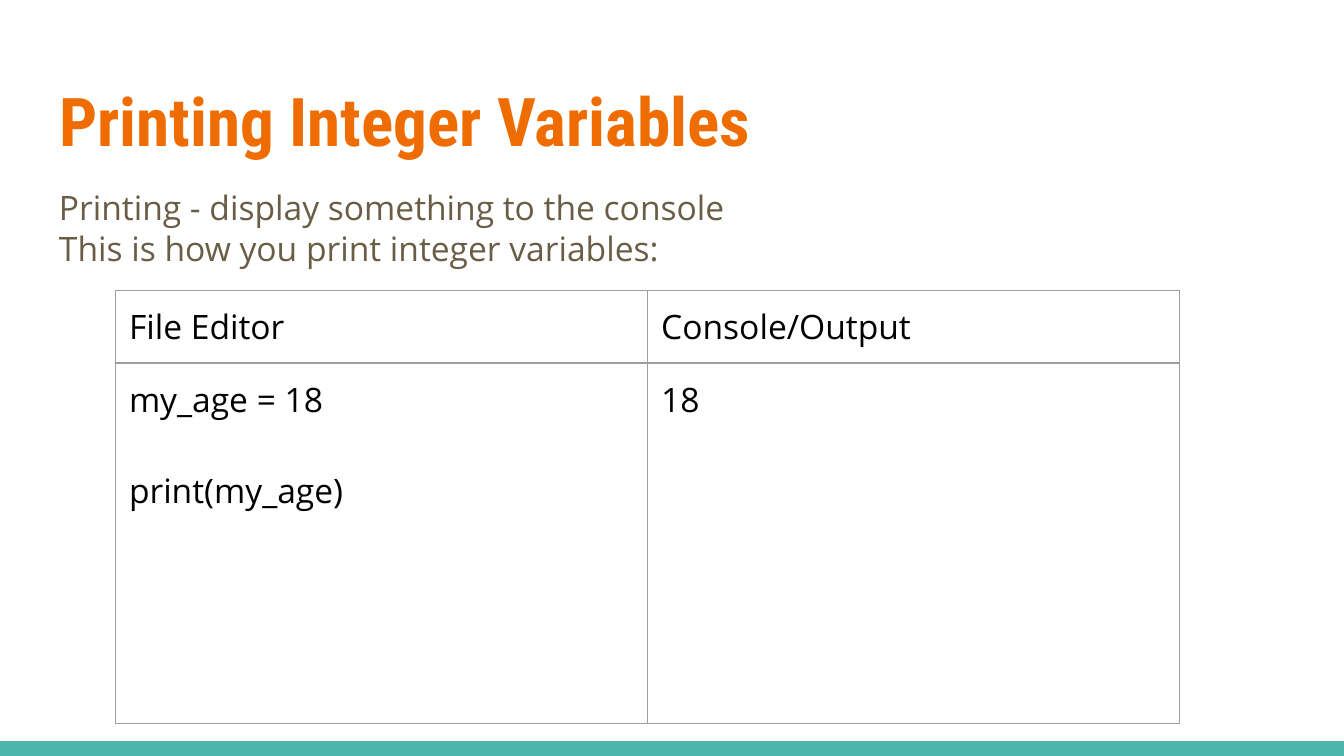
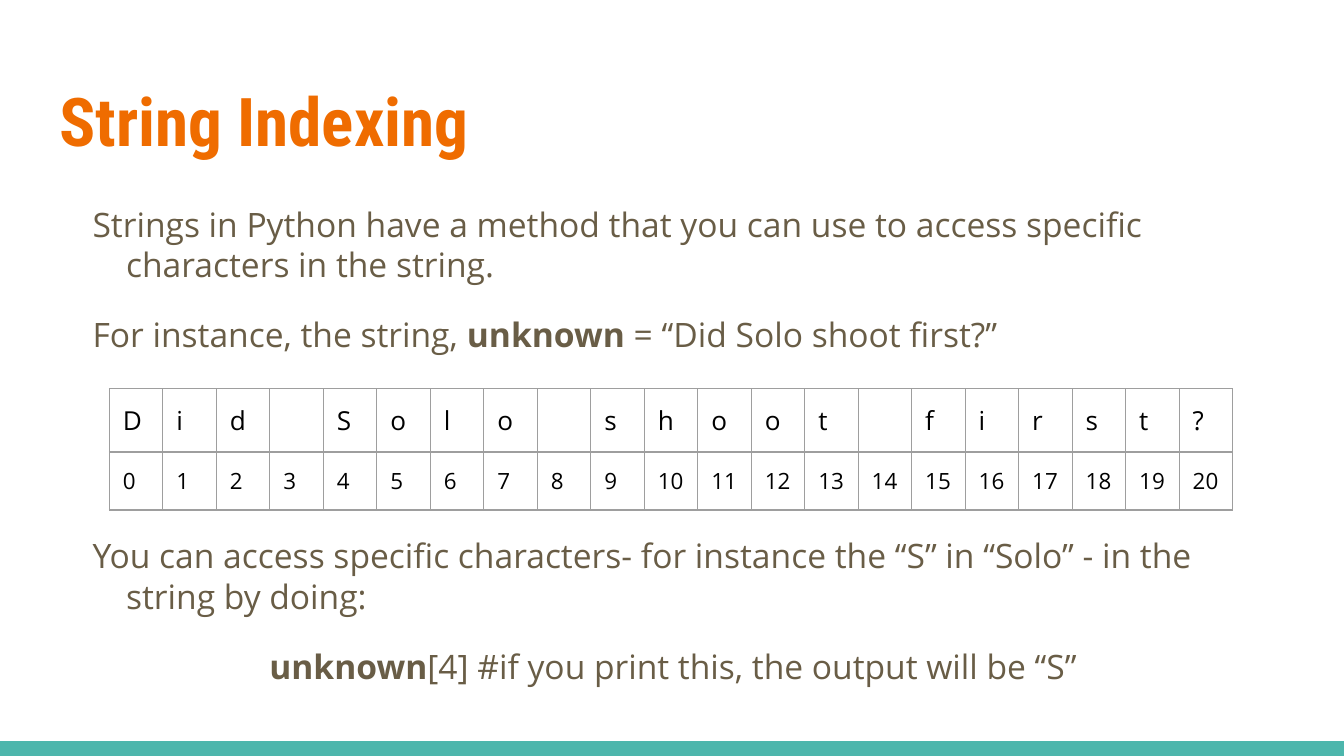
from lxml import etree
from pptx import Presentation
from pptx import util as u
from pptx.dml.color import RGBColor
from pptx.enum import shapes, text
from pptx.oxml import ns

Pt = u.Pt

COLORS = {
    "background": "FFFFFF",
    "band": "4DB6AC",
    "title": "EF6C00",
    "body": "695D46",
    "cell": "000000",
    "border": "9E9E9E",
}
TITLE_FONT, BODY_FONT = "Roboto Condensed", "Open Sans"
WIDTH, HEIGHT = 720, 405
BAND_HEIGHT = 7.9
MARGIN, CONTENT_WIDTH = 24.5, 671
INSET = 7.2
LINE = 24.5  # height of one 18 pt line
GAP = 16
HANGING = (36, -18)

SENTENCE = "Did Solo shoot first?"

# A paragraph is (runs, space before, (left margin, first-line indent));
# a run is (wording, bold). A table row is (height, text size, cells),
# and each cell lists its lines as (wording, space before).
SLIDES = [
    {
        "title": "Printing Integer Variables",
        "body_top": 90.7,
        "body": [
            ([("Printing - display something to the console", False)], 0, (0, 0)),
            ([("This is how you print integer variables:", False)], 0, (0, 0)),
        ],
        "table_at": (61.9, 155.6),
        "column_width": 285.1,
        "rows": [
            (38.6, 18, [[("File Editor", 0)], [("Console/Output", 0)]]),
            (193, 18, [[("my_age = 18", 0), ("print(my_age)", LINE)], [("18", 0)]]),
        ],
    },
    {
        "title": "String Indexing",
        "body_top": 99.4,
        "body": [
            ([("Strings in Python have a method that you can use to access "
               "specific characters in the string.", False)], 0, HANGING),
            ([("For instance, the string, ", False), ("unknown ", True),
              (f"= “{SENTENCE}”", False)], GAP, HANGING),
            ([("You can access specific characters- for instance the “S” in "
               "“Solo” - in the string by doing:", False)],
             3 * GAP + 2 * LINE, HANGING),
            ([("unknown", True),
              ("[4] #if you print this, the output will be “S”", False)],
             GAP, (72, 40.7)),
        ],
        "table_at": (58.6, 208.2),
        "column_width": 28.68,
        "rows": [
            (34, 14, [[(letter, 0)] for letter in SENTENCE]),
            (31, 12, [[(str(index), 0)] for index in range(len(SENTENCE))]),
        ],
    },
]


def rgb(name):
    return RGBColor.from_string(COLORS[name])


def add_run(paragraph, wording, size, color, font=BODY_FONT, bold=False):
    run = paragraph.add_run()
    run.text = wording
    run.font.size, run.font.name, run.font.bold = Pt(size), font, bold
    run.font.color.rgb = rgb(color)


def set_frame(frame, top_inset=INSET):
    frame.word_wrap = True
    frame.auto_size = text.MSO_AUTO_SIZE.NONE
    frame.vertical_anchor = text.MSO_ANCHOR.TOP
    frame.margin_left = frame.margin_right = frame.margin_bottom = Pt(INSET)
    frame.margin_top = Pt(top_inset)


def paragraphs(frame, count):
    """Return exactly count paragraphs of a fresh text frame."""
    return [frame.paragraphs[0]] + [frame.add_paragraph() for _ in range(count - 1)]


def add_band(slide):
    band = slide.shapes.add_shape(
        shapes.MSO_SHAPE.RECTANGLE,
        0, Pt(HEIGHT - BAND_HEIGHT), Pt(WIDTH), Pt(BAND_HEIGHT))
    band.shadow.inherit = False
    band.fill.solid()
    band.fill.fore_color.rgb = rgb("band")
    band.line.fill.background()


def set_title(slide, wording):
    title = slide.shapes.title
    title.left, title.top = Pt(MARGIN), Pt(35.3)
    title.width, title.height = Pt(CONTENT_WIDTH), Pt(55.4)
    set_frame(title.text_frame)
    paragraph = title.text_frame.paragraphs[0]
    paragraph.alignment = text.PP_ALIGN.LEFT
    add_run(paragraph, wording, 36, "title", TITLE_FONT, True)


def add_body(slide, top, content):
    body = slide.shapes.add_textbox(Pt(MARGIN), Pt(top), Pt(CONTENT_WIDTH), Pt(260))
    frame = body.text_frame
    set_frame(frame, top_inset=9.6)
    for paragraph, (runs, before, (left, indent)) in zip(
            paragraphs(frame, len(content)), content):
        paragraph.line_spacing = 1.0
        paragraph.space_before = Pt(before)
        properties = paragraph._p.get_or_add_pPr()
        properties.set("marL", str(Pt(left)))
        properties.set("indent", str(Pt(indent)))
        for wording, bold in runs:
            add_run(paragraph, wording, 18, "body", bold=bold)


def set_borders(cell):
    properties = cell._tc.get_or_add_tcPr()
    for position, side in enumerate(("lnL", "lnR", "lnT", "lnB")):
        line = etree.Element(ns.qn(f"a:{side}"), w=str(Pt(0.75)))
        fill = etree.SubElement(line, ns.qn("a:solidFill"))
        etree.SubElement(fill, ns.qn("a:srgbClr"), val=COLORS["border"])
        properties.insert(position, line)


def add_grid(slide, at, column_width, rows):
    columns = len(rows[0][2])
    left, top = at
    height = sum(row[0] for row in rows)
    table = slide.shapes.add_table(
        len(rows), columns, Pt(left), Pt(top),
        Pt(column_width * columns), Pt(height)).table
    table.first_row = table.horz_banding = False
    for column in table.columns:
        column.width = Pt(column_width)
    for r, (row_height, size, cells) in enumerate(rows):
        table.rows[r].height = Pt(row_height)
        for c, lines in enumerate(cells):
            cell = table.cell(r, c)
            cell.margin_left = cell.margin_right = Pt(INSET)
            cell.margin_top = cell.margin_bottom = Pt(INSET)
            cell.fill.background()
            set_borders(cell)
            for paragraph, (wording, before) in zip(
                    paragraphs(cell.text_frame, len(lines)), lines):
                paragraph.space_before = Pt(before)
                add_run(paragraph, wording, size, "cell")


def main():
    deck = Presentation()
    deck.slide_width, deck.slide_height = Pt(WIDTH), Pt(HEIGHT)
    background = deck.slide_master.background.fill
    background.solid()
    background.fore_color.rgb = rgb("background")
    for content in SLIDES:
        slide = deck.slides.add_slide(deck.slide_layouts[5])
        add_band(slide)
        set_title(slide, content["title"])
        add_body(slide, content["body_top"], content["body"])
        add_grid(slide, content["table_at"], content["column_width"], content["rows"])
    deck.save("out.pptx")


if __name__ == "__main__":
    main()
